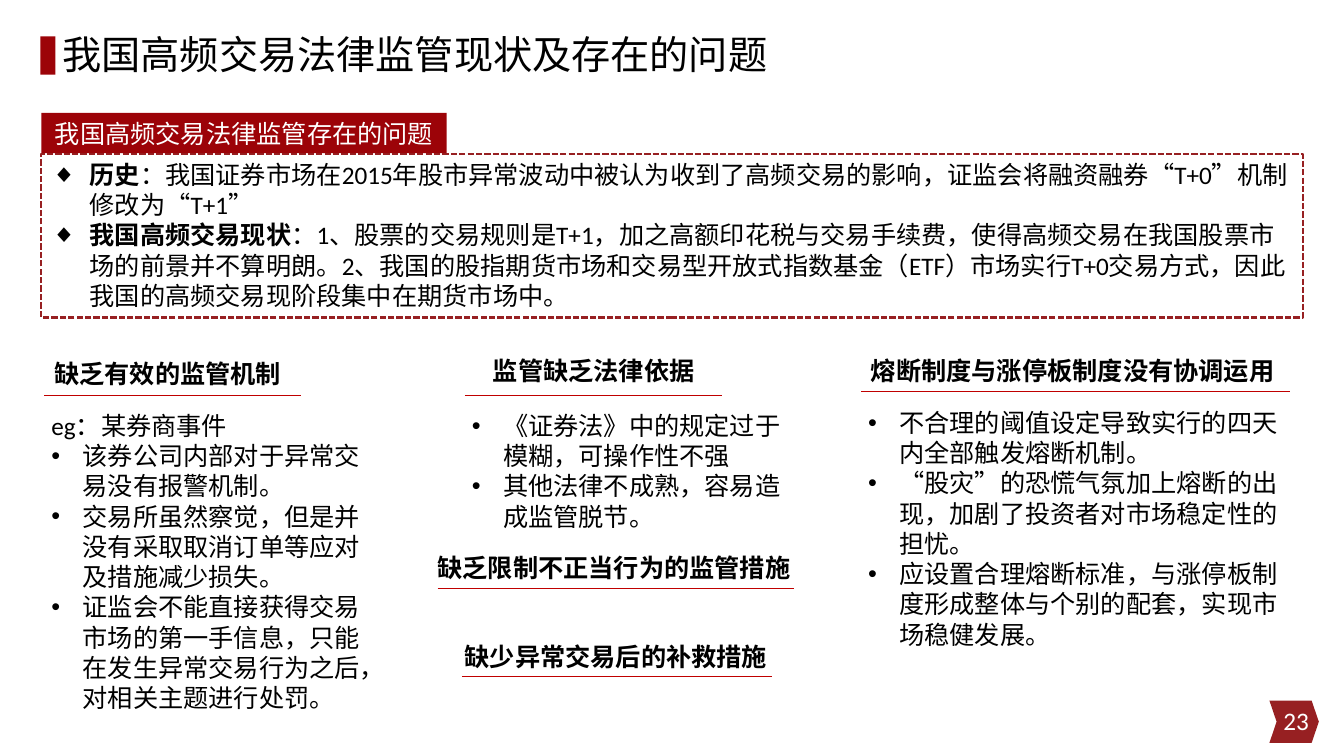
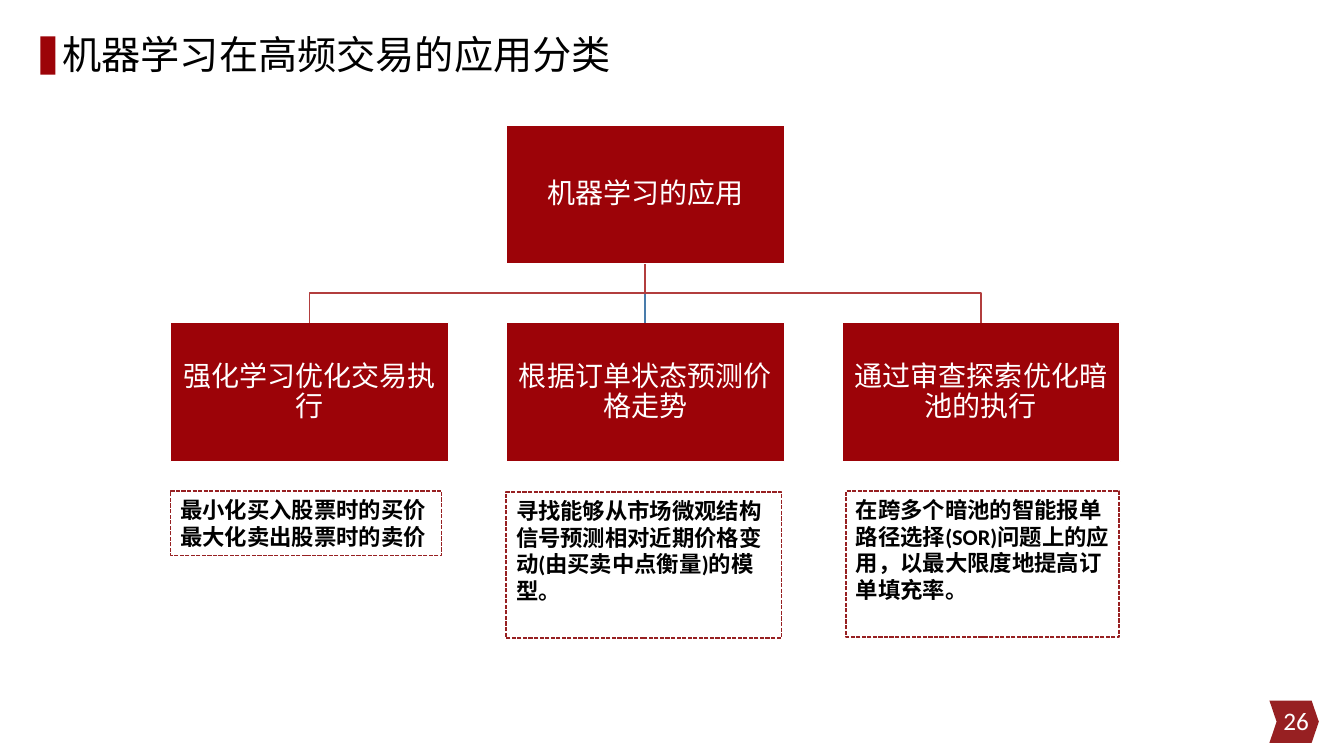
from dataclasses import dataclass

from lxml import etree
from pptx import Presentation
from pptx.dml.color import RGBColor
from pptx.enum.dml import MSO_LINE
from pptx.enum.shapes import MSO_CONNECTOR, MSO_SHAPE
from pptx.enum.text import MSO_ANCHOR, MSO_AUTO_SIZE, PP_ALIGN
from pptx.oxml.ns import qn
from pptx.util import Inches, Pt

RECT, CHEVRON = MSO_SHAPE.RECTANGLE, MSO_SHAPE.CHEVRON
LEFT, CENTER, RIGHT = PP_ALIGN.LEFT, PP_ALIGN.CENTER, PP_ALIGN.RIGHT
TOP, MIDDLE = MSO_ANCHOR.TOP, MSO_ANCHOR.MIDDLE
STRAIGHT, DASH = MSO_CONNECTOR.STRAIGHT, MSO_LINE.SQUARE_DOT
COMPARISON, TITLE_ONLY = 4, 5


@dataclass(frozen=True)
class Theme:
    band: str = "9C0308"
    frame: str = "972022"
    rule: str = "C00000"
    branch: str = "B23E3E"
    stem: str = "497CAB"
    black: str = "000000"
    white: str = "FFFFFF"
    latin: str = "Calibri"
    cjk: str = "Noto Sans CJK SC"
    title: int = 28
    node: int = 20
    body: int = 18
    note: int = 16
    tree_line: float = 1.25


T = Theme()


@dataclass(frozen=True)
class Box:
    x: float
    y: float
    w: float
    h: float

    def lengths(self) -> tuple:
        return tuple(Inches(v) for v in (self.x, self.y, self.w, self.h))


@dataclass(frozen=True)
class Para:
    text: str
    lead: str = ""
    bullet: str = ""
    indent: float = 0.31


@dataclass(frozen=True)
class Heading:
    text: str
    box: Box
    rule_x: float
    rule_y: float
    rule_w: float


@dataclass(frozen=True)
class Listing:
    idx: int
    box: Box
    paras: list[Para]


@dataclass(frozen=True)
class Note:
    text: str
    box: Box


# Shared parts
TITLE_BOX = Box(0.52, -0.02, 11.31, 1.17)
NUMBER_BOX = Box(10.08, 6.95, 3, 0.4)
TITLE_BAR = Box(0.4, 0.36, 0.15, 0.38)
NUMBER_TAG = Box(12.59, 6.95, 0.49, 0.42)

# Regulation slide
BAND = Box(0.41, 1.12, 4.02, 0.4)
HEADINGS = [
    Heading("缺乏有效的监管机制", Box(0.44, 3.51, 2.88, 0.4), 0.44, 3.92, 2.55),
    Heading("监管缺乏法律依据", Box(4.79, 3.48, 2.26, 0.4), 4.61, 3.92, 2.55),
    Heading("熔断制度与涨停板制度没有协调运用", Box(8.54, 3.48, 4.37, 0.4), 8.54, 3.88, 4.25),
    Heading("缺乏限制不正当行为的监管措施", Box(4.24, 5.43, 3.74, 0.4), 4.34, 5.84, 3.54),
    Heading("缺少异常交易后的补救措施", Box(4.51, 6.31, 3.74, 0.4), 4.58, 6.71, 3.08),
]
OVERVIEW = Listing(1, Box(0.41, 1.53, 12.51, 1.62), [
    Para("：我国证券市场在2015年股市异常波动中被认为收到了高频交易的影响，"
         "证监会将融资融券“T+0”机制修改为“T+1”", "历史", "◆", 0.38),
    Para("：1、股票的交易规则是T+1，加之高额印花税与交易手续费，使得高频交易在我国"
         "股票市场的前景并不算明朗。2、我国的股指期货市场和交易型开放式指数基金（ETF）"
         "市场实行T+0交易方式，因此我国的高频交易现阶段集中在期货市场中。",
         "我国高频交易现状", "◆", 0.38),
])
COLUMNS = [
    Listing(2, Box(0.41, 4.02, 3.3, 3.13), [
        Para("eg：某券商事件", indent=0),
        Para("该券公司内部对于异常交易没有报警机制。", bullet="•"),
        Para("交易所虽然察觉，但是并没有采取取消订单等应对及措施减少损失。", bullet="•"),
        Para("证监会不能直接获得交易市场的第一手信息，只能在发生异常交易行为之后，"
             "对相关主题进行处罚。", bullet="•"),
    ]),
    Listing(3, Box(4.58, 4.02, 3.3, 1.31), [
        Para("《证券法》中的规定过于模糊，可操作性不强", bullet="•"),
        Para("其他法律不成熟，容易造成监管脱节。", bullet="•"),
    ]),
    Listing(4, Box(8.51, 3.99, 4.28, 2.52), [
        Para("不合理的阈值设定导致实行的四天内全部触发熔断机制。", bullet="•"),
        Para("“股灾”的恐慌气氛加上熔断的出现，加剧了投资者对市场稳定性的担忧。", bullet="•"),
        Para("应设置合理熔断标准，与涨停板制度形成整体与个别的配套，实现市场稳健发展。",
             bullet="•"),
    ]),
]
# Classification slide
NODE_X, NODE_PITCH, NODE_W, NODE_H = 1.69, 3.33, 2.76, 1.38
ROOT_Y, LEAF_Y = 1.24, 3.2
LEAVES = ["强化学习优化交易执行", "根据订单状态预测价格走势", "通过审查探索优化暗池的执行"]
NOTES = [
    Note("最小化买入股票时的买价最大化卖出股票时的卖价", Box(1.69, 4.87, 2.69, 0.64)),
    Note("寻找能够从市场微观结构信号预测相对近期价格变动(由买卖中点衡量)的模型。",
         Box(5.02, 4.88, 2.73, 1.45)),
    Note("在跨多个暗池的智能报单路径选择(SOR)问题上的应用，以最大限度地提高订单填充率。",
         Box(8.39, 4.87, 2.71, 1.45)),
]


def rgb(color: str) -> RGBColor:
    return RGBColor.from_string(color)


def add_run(p, text: str, size: int, color: str = T.black, bold: bool = False,
            font: str = T.latin) -> None:
    r = p.add_run()
    r.text = text
    r.font.size, r.font.bold, r.font.name = Pt(size), bold, font
    r.font.color.rgb = rgb(color)
    etree.SubElement(r.font._element, qn("a:ea")).set("typeface", T.cjk)


def set_frame(sp, anchor=TOP):
    tf = sp.text_frame
    tf.word_wrap, tf.auto_size, tf.vertical_anchor = True, MSO_AUTO_SIZE.NONE, anchor
    return tf


def place(sp, box: Box) -> None:
    sp.left, sp.top, sp.width, sp.height = box.lengths()


def set_line(sp, color: str, width: float, dash=None) -> None:
    sp.line.color.rgb, sp.line.width = rgb(color), Pt(width)
    if dash:
        sp.line.dash_style = dash


def add_shape(slide, box: Box, fill: str = "", kind=RECT):
    sp = slide.shapes.add_shape(kind, *box.lengths())
    sp.shadow.inherit = False
    sp.line.fill.background()
    if fill:
        sp.fill.solid()
        sp.fill.fore_color.rgb = rgb(fill)
    else:
        sp.fill.background()
    return sp


def add_label(slide, text: str, box: Box, color: str = T.black, bold: bool = False,
              align=LEFT, anchor=TOP) -> None:
    p = set_frame(slide.shapes.add_textbox(*box.lengths()), anchor).paragraphs[0]
    p.alignment = align
    add_run(p, text, T.body, color, bold)


def add_line(slide, x1: float, y1: float, x2: float, y2: float, color: str, width: float):
    line = slide.shapes.add_connector(STRAIGHT, *(Inches(v) for v in (x1, y1, x2, y2)))
    set_line(line, color, width)
    etree.SubElement(line.element.spPr, qn("a:effectLst"))
    return line


def set_bullet(p, para: Para) -> None:
    pPr = p._p.get_or_add_pPr()
    pPr.set("marL", str(Inches(para.indent)))
    pPr.set("indent", str(-Inches(para.indent)))
    if para.bullet:
        etree.SubElement(pPr, qn("a:buFont")).set("typeface", "Arial")
        etree.SubElement(pPr, qn("a:buChar")).set("char", para.bullet)
    else:
        etree.SubElement(pPr, qn("a:buNone"))


def fill_list(slide, listing: Listing):
    sp = slide.placeholders[listing.idx]
    place(sp, listing.box)
    tf = set_frame(sp)
    for i, para in enumerate(listing.paras):
        p = tf.paragraphs[0] if i == 0 else tf.add_paragraph()
        p.alignment, p.space_before, p.line_spacing = LEFT, Pt(0), 1.0
        set_bullet(p, para)
        if para.lead:
            add_run(p, para.lead, T.body, bold=True)
        add_run(p, para.text, T.body)
    return sp


def add_slide(prs, layout: int, title: str, number: int):
    slide = prs.slides.add_slide(prs.slide_layouts[layout])
    for ph in list(slide.placeholders):
        if ph.placeholder_format.idx >= 10:
            ph.element.getparent().remove(ph.element)
    place(slide.shapes.title, TITLE_BOX)
    p = set_frame(slide.shapes.title, MIDDLE).paragraphs[0]
    p.alignment, p.line_spacing = LEFT, 0.9
    add_run(p, title, T.title, font=T.cjk)
    add_label(slide, str(number), NUMBER_BOX, T.white, align=RIGHT, anchor=MIDDLE)
    return slide


def decorate_master(prs, slide) -> None:
    """Move the title bar and the number tag to the slide master."""
    tag = add_shape(slide, NUMBER_TAG, T.frame, CHEVRON)
    tag.adjustments[0] = 0.17
    bar = add_shape(slide, TITLE_BAR, T.band)
    for i, sp in enumerate((tag, bar)):
        sp.element.nvSpPr.cNvPr.set("id", str(101 + i))
        prs.slide_master.shapes.element.append(sp.element)


def regulation_slide(prs) -> None:
    slide = add_slide(prs, COMPARISON, "我国高频交易法律监管现状及存在的问题", 23)
    decorate_master(prs, slide)
    set_line(fill_list(slide, OVERVIEW), T.frame, 1.5, DASH)
    p = set_frame(add_shape(slide, BAND, T.band)).paragraphs[0]
    p.alignment = CENTER
    add_run(p, "我国高频交易法律监管存在的问题", T.body, T.white)
    for column in COLUMNS:
        fill_list(slide, column)
    for h in HEADINGS:
        add_label(slide, h.text, h.box, bold=True)
        add_line(slide, h.rule_x, h.rule_y, h.rule_x + h.rule_w, h.rule_y, T.rule, 0.5)


def add_node(slide, text: str, col: int, y: float):
    sp = add_shape(slide, Box(NODE_X + col * NODE_PITCH, y, NODE_W, NODE_H), T.band)
    set_line(sp, T.white, 1)
    tf = set_frame(sp, MIDDLE)
    tf.margin_left = tf.margin_right = tf.margin_top = tf.margin_bottom = Inches(0.01)
    p = tf.paragraphs[0]
    p.alignment, p.line_spacing = CENTER, 0.9
    add_run(p, text, T.node, T.white)
    return sp


def add_branch(slide, root, leaf) -> None:
    x1, y1 = root.left + root.width // 2, root.top + root.height
    x2, y2 = leaf.left + leaf.width // 2, leaf.top
    mid = (y1 + y2) // 2
    fb = slide.shapes.build_freeform(x1, y1)
    fb.add_line_segments([(x1, mid), (x2, mid), (x2, y2)], close=False)
    sp = fb.convert_to_shape()
    sp.shadow.inherit = False
    sp.fill.background()
    set_line(sp, T.branch, T.tree_line)


def classification_slide(prs) -> None:
    slide = add_slide(prs, TITLE_ONLY, "机器学习在高频交易的应用分类", 26)
    # Tree
    root = add_node(slide, "机器学习的应用", 1, ROOT_Y)
    leaves = [add_node(slide, text, i, LEAF_Y) for i, text in enumerate(LEAVES)]
    x = NODE_X + NODE_PITCH + NODE_W / 2
    stem = add_line(slide, x, ROOT_Y + NODE_H, x, LEAF_Y, T.stem, T.tree_line)
    stem.begin_connect(root, 2)
    stem.end_connect(leaves[1], 0)
    for leaf in (leaves[0], leaves[2]):
        add_branch(slide, root, leaf)
    # Notes under the leaves
    for note in NOTES:
        sp = add_shape(slide, note.box)
        set_line(sp, T.frame, 1, DASH)
        p = set_frame(sp).paragraphs[0]
        p.alignment = LEFT
        add_run(p, note.text, T.note, bold=True)


def main() -> None:
    prs = Presentation()
    prs.slide_width, prs.slide_height = Inches(13.33), Inches(7.5)
    regulation_slide(prs)
    classification_slide(prs)
    prs.save("out.pptx")


if __name__ == "__main__":
    main()
